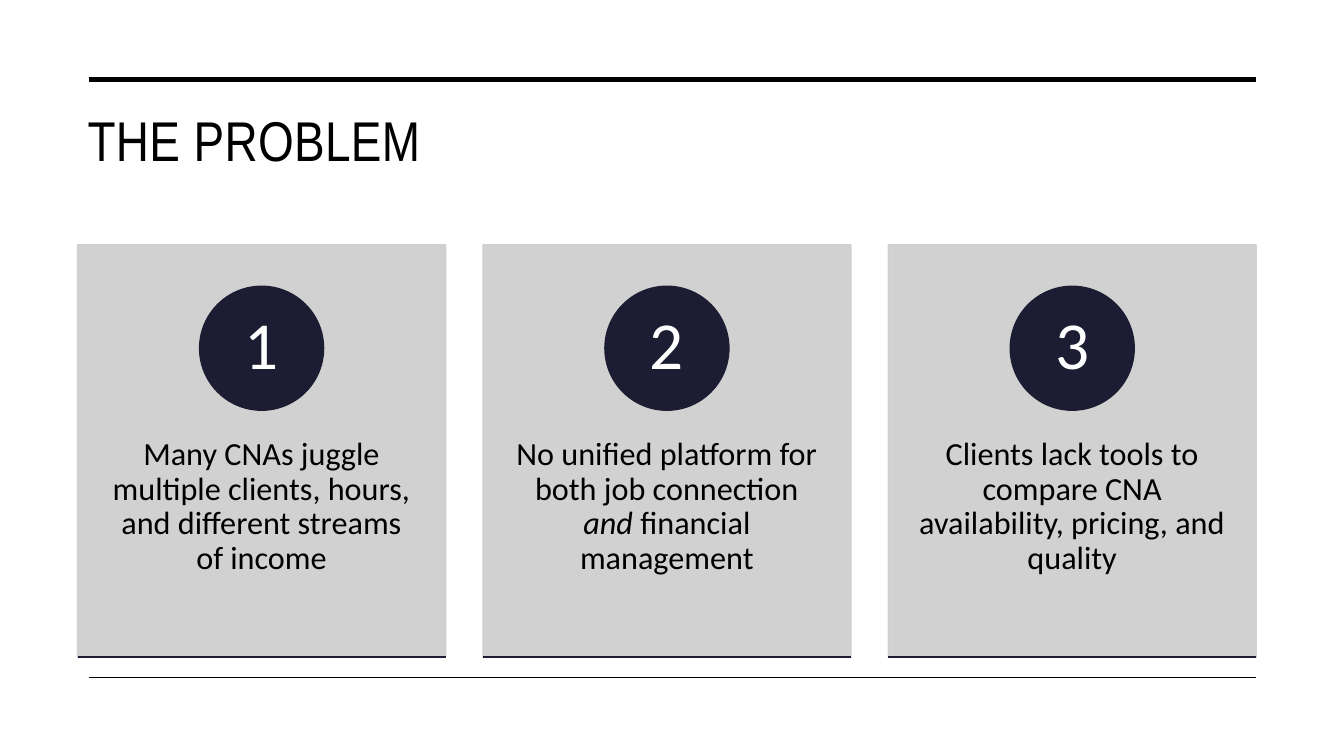
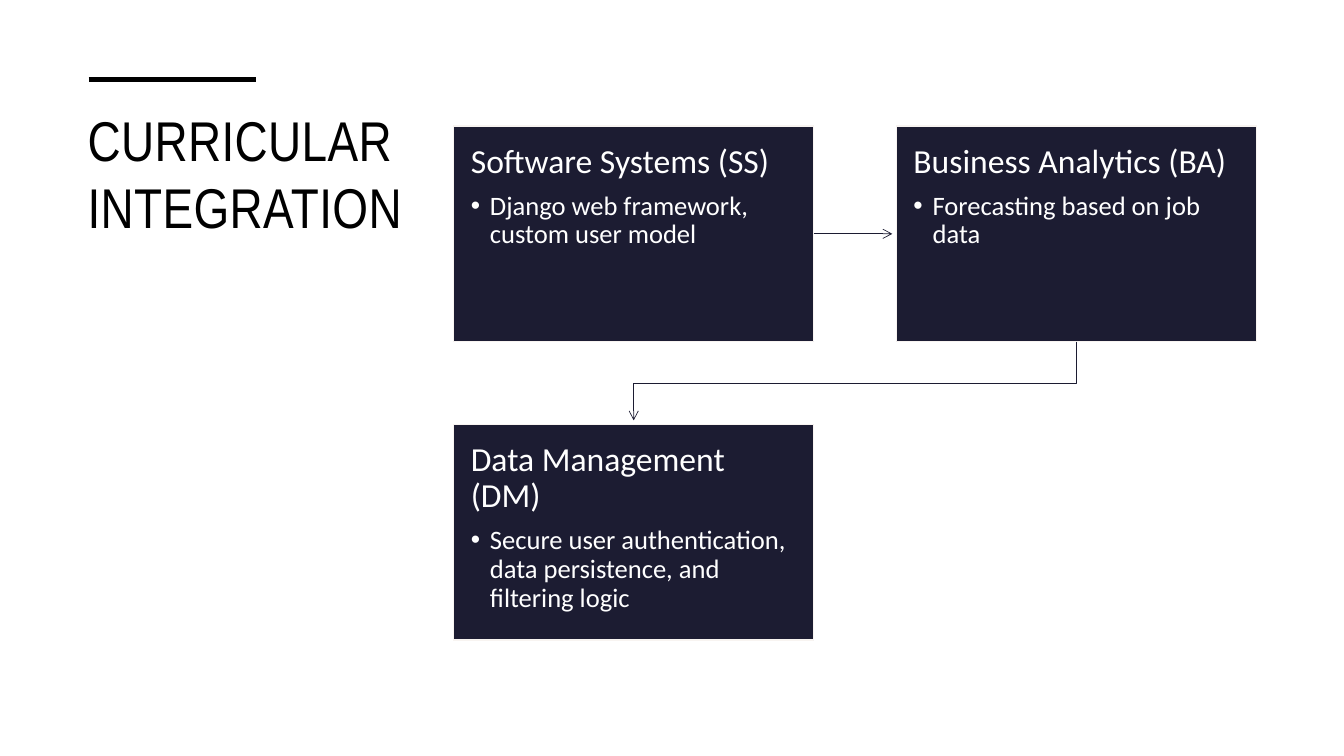
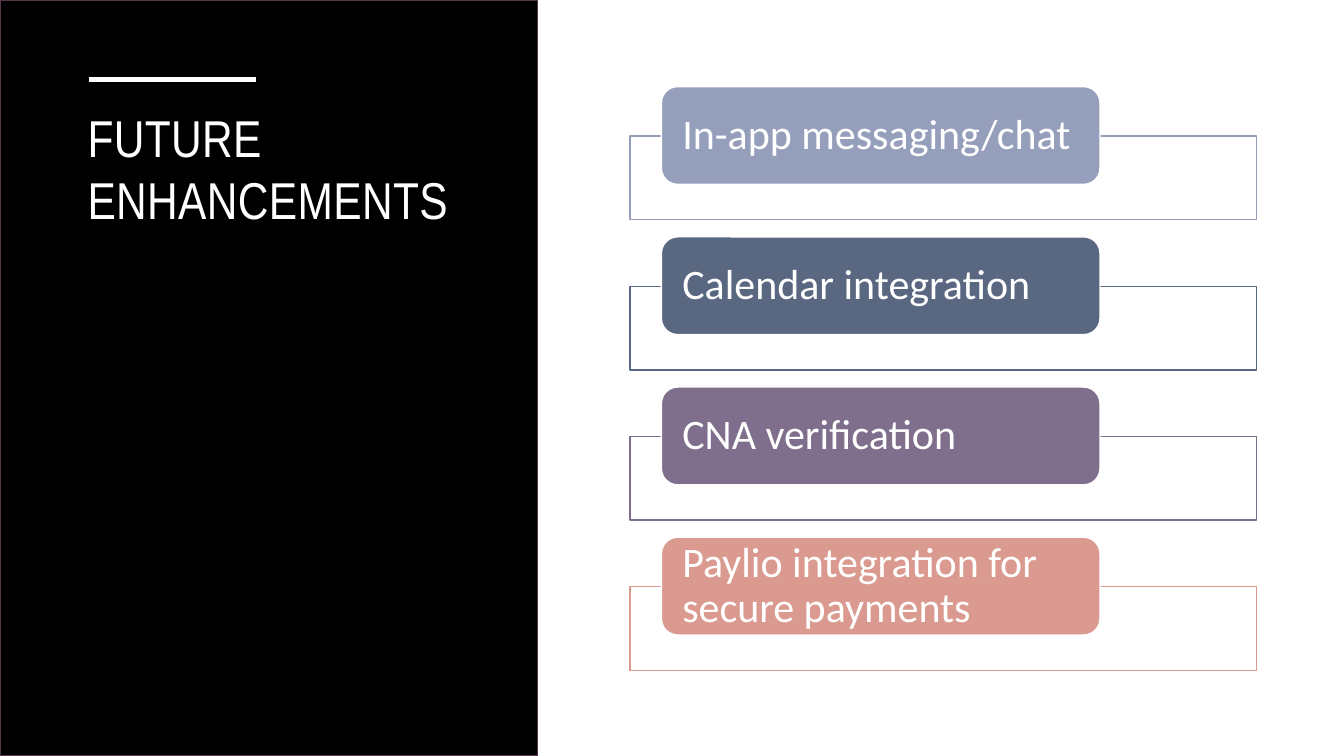
from lxml.etree import SubElement
from pptx import Presentation
from pptx.dml.color import RGBColor
from pptx.enum.shapes import MSO_CONNECTOR, MSO_SHAPE
from pptx.enum.text import MSO_ANCHOR, PP_ALIGN
from pptx.oxml.ns import qn
from pptx.util import Inches, Pt

BLACK = "000000"
WHITE = "FFFFFF"
NAVY = "1C1C32"
CARD_GREY = "CDCDCE"
STEP_BORDER = "F8F4F1"
PANEL_BORDER = "55374C"
TITLE_FONT = "Arial Narrow"
BODY_FONT = "Calibri"
RULE_LEFT, RULE_RIGHT, RULE_TOP = 0.88, 12.46, 0.79
SHORT_RULE_RIGHT = 2.54

PROBLEMS = [
    [("Many CNAs juggle multiple clients, hours, and different streams of income", False)],
    [
        ("No unified platform for both job connection ", False),
        ("and ", True),
        ("financial management", False),
    ],
    [("Clients lack tools to compare CNA availability, pricing, and quality", False)],
]
SUBJECTS = [
    ("Software Systems (SS)", "Django web framework, custom user model"),
    ("Business Analytics (BA)", "Forecasting based on job data"),
    ("Data Management (DM)", "Secure user authentication, data persistence, and filtering logic"),
]
ENHANCEMENTS = [
    ("In-app messaging/chat", "959EBB"),
    ("Calendar integration", "596781"),
    ("CNA verification", "7F6E8C"),
    ("Paylio integration for secure payments", "DB9A8F"),
]


def color(value):
    return RGBColor.from_string(value)


def add_span(para, text, size, text_color, font=BODY_FONT, italic=False):
    span = para.add_run()
    span.text = text
    span.font.size = Pt(size)
    span.font.name = font
    span.font.italic = italic
    span.font.color.rgb = color(text_color)
    return span


def set_frame(box, insets, anchor=MSO_ANCHOR.TOP):
    frame = box.text_frame
    frame.word_wrap = True
    frame.vertical_anchor = anchor
    horizontal, top, bottom = insets
    frame.margin_left = frame.margin_right = Inches(horizontal)
    frame.margin_top, frame.margin_bottom = Inches(top), Inches(bottom)
    return frame


def format_para(para, align=PP_ALIGN.LEFT):
    para.alignment = align
    para.line_spacing = 0.9
    return para


def add_bullet(para, indent):
    properties = para._p.get_or_add_pPr()
    properties.set("marL", str(Inches(indent)))
    properties.set("indent", str(-Inches(indent)))
    SubElement(properties, qn("a:buFont")).set("typeface", "Arial")
    SubElement(properties, qn("a:buChar")).set("char", "•")


def add_box(page, kind, left, top, width, height, fill, border):
    box = page.shapes.add_shape(kind, Inches(left), Inches(top), Inches(width), Inches(height))
    box.shadow.inherit = False
    box.fill.solid()
    box.fill.fore_color.rgb = color(fill)
    box.line.color.rgb = color(border)
    box.line.width = Pt(1)
    return box


def set_opacity(box, percent):
    for tint in box._element.spPr.iter(qn("a:srgbClr")):
        SubElement(tint, qn("a:alpha")).set("val", str(percent * 1000))


def add_line(page, start, end, line_color, weight):
    points = [Inches(value) for value in (*start, *end)]
    line = page.shapes.add_connector(MSO_CONNECTOR.STRAIGHT, *points)
    line.line.color.rgb = color(line_color)
    line.line.width = Pt(weight)
    SubElement(line._element.spPr, qn("a:effectLst"))
    return line


def add_arrowhead(line):
    outline = line._element.spPr.find(qn("a:ln"))
    SubElement(outline, qn("a:tailEnd")).set("type", "arrow")


def add_bent_arrow(page, points):
    corners = [(Inches(x), Inches(y)) for x, y in points]
    builder = page.shapes.build_freeform(*corners[0], scale=1.0)
    builder.add_line_segments(corners[1:], close=False)
    arrow = builder.convert_to_shape()
    arrow.shadow.inherit = False
    arrow.fill.background()
    arrow.line.color.rgb = color(NAVY)
    arrow.line.width = Pt(0.5)
    add_arrowhead(arrow)


def add_heading(page, text, width, rule_right=SHORT_RULE_RIGHT, size=40, text_color=BLACK):
    box = page.shapes.add_textbox(Inches(0.77), Inches(1), Inches(width), Inches(1.5))
    frame = set_frame(box, (0.1, 0.05, 0.05))
    span = add_span(frame.paragraphs[0], text, size, text_color, TITLE_FONT)
    span.font._element.set("spc", "30")
    add_line(page, (RULE_LEFT, RULE_TOP), (rule_right, RULE_TOP), text_color, 3.5)


def add_problem_card(page, number, spans, left):
    top, width, height, circle = 2.43, 3.65, 4.09, 1.23
    card = add_box(page, MSO_SHAPE.RECTANGLE, left, top, width, height, CARD_GREY, CARD_GREY)
    set_opacity(card, 90)
    frame = set_frame(card, (0.28, 1.91, 0.36))
    para = format_para(frame.paragraphs[0], PP_ALIGN.CENTER)
    for text, italic in spans:
        add_span(para, text, 23, BLACK, italic=italic)
    badge = add_box(page, MSO_SHAPE.OVAL, left + (width - circle) / 2, 2.84, circle, circle, NAVY, NAVY)
    frame = set_frame(badge, (0.1, 0.01, 0.01), MSO_ANCHOR.MIDDLE)
    add_span(format_para(frame.paragraphs[0], PP_ALIGN.CENTER), str(number), 48, WHITE)
    add_line(page, (left, top + height), (left + width, top + height), NAVY, 1)


def add_subject(page, name, detail, left, top, width, height):
    box = add_box(page, MSO_SHAPE.RECTANGLE, left, top, width, height, NAVY, STEP_BORDER)
    frame = set_frame(box, (0.17, 0.18, 0.18))
    para = format_para(frame.paragraphs[0])
    para.space_after = Pt(8.4)
    add_span(para, name, 24, WHITE)
    para = format_para(frame.add_paragraph())
    add_bullet(para, 0.19)
    add_span(para, detail, 19, WHITE)
    return box


def add_enhancement(page, text, accent, top):
    add_box(page, MSO_SHAPE.RECTANGLE, 6.25, top + 0.49, 6.21, 0.83, WHITE, accent)
    label = add_box(page, MSO_SHAPE.ROUNDED_RECTANGLE, 6.56, top, 4.35, 0.97, accent, WHITE)
    frame = set_frame(label, (0.16, 0, 0), MSO_ANCHOR.MIDDLE)
    add_span(format_para(frame.paragraphs[0]), text, 30, WHITE)


def build_problem(page):
    add_heading(page, "THE PROBLEM", 11.69, RULE_RIGHT)
    add_line(page, (RULE_LEFT, 6.72), (RULE_RIGHT, 6.72), BLACK, 1)
    for index, spans in enumerate(PROBLEMS):
        add_problem_card(page, index + 1, spans, 0.77 + index * 4.02)


def build_curriculum(page):
    add_heading(page, "CURRICULAR INTEGRATION", 4.28)
    left, top, width, height = 4.5, 1.25, 3.57, 2.14
    column_step, row_step = 4.39, 2.96
    boxes = []
    for index, (name, detail) in enumerate(SUBJECTS):
        row, column = divmod(index, 2)
        place = left + column * column_step, top + row * row_step
        boxes.append(add_subject(page, name, detail, *place, width, height))
    middle = top + height / 2
    arrow = add_line(page, (left + width, middle), (left + column_step - 0.04, middle), NAVY, 0.5)
    arrow.begin_connect(boxes[0], 3)
    add_arrowhead(arrow)
    first_center = left + width / 2
    second_center = first_center + column_step
    bottom, turn, tip = top + height, 3.8, top + row_step - 0.04
    add_bent_arrow(page, [
        (second_center, bottom), (second_center, turn), (first_center, turn), (first_center, tip),
    ])


def build_enhancements(page):
    add_box(page, MSO_SHAPE.RECTANGLE, 0, 0, 5.33, 7.5, BLACK, PANEL_BORDER)
    add_heading(page, "FUTURE ENHANCEMENTS", 4.07, size=37, text_color=WHITE)
    for index, (text, accent) in enumerate(ENHANCEMENTS):
        add_enhancement(page, text, accent, 0.86 + index * 1.49)


def main():
    deck = Presentation()
    deck.slide_width, deck.slide_height = Inches(13.33), Inches(7.5)
    for build in (build_problem, build_curriculum, build_enhancements):
        build(deck.slides.add_slide(deck.slide_layouts[6]))
    deck.save("out.pptx")


if __name__ == "__main__":
    main()
